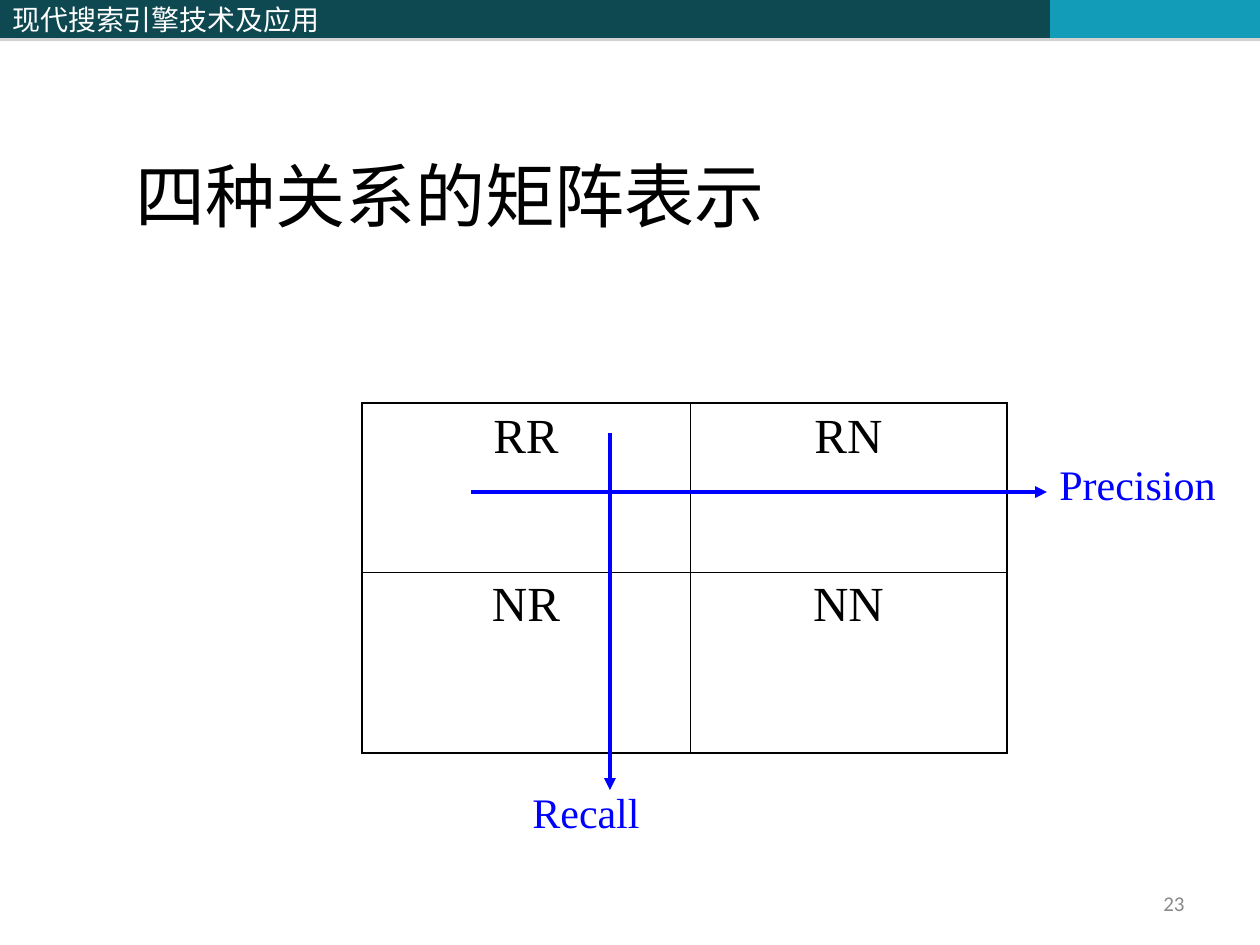
"""Builds a slide with the matrix of four retrieval relations."""
import lxml.etree
import pptx
import pptx.dml.color
import pptx.enum.shapes
import pptx.enum.text
import pptx.oxml.ns
import pptx.util

COLORS = {"dark": "0E4851", "teal": "139CB7", "shadow": "808080", "white": "FFFFFF",
          "black": "000000", "blue": "0000FF", "gray": "898989"}
SERIF = "Times New Roman"
CHINESE = "Noto Sans CJK SC"
ALIGN = pptx.enum.text.PP_ALIGN
ANCHOR = pptx.enum.text.MSO_ANCHOR

SLIDE_SIZE = (1260, 945)
BAR_HEIGHT = 38
BARS = [("现代搜索引擎技术及应用", 514, "dark"), ("", 536, "dark"), ("", 210, "teal")]
TEXTS = [
    ("四种关系的矩阵表示", (123, 86, 949, 157), dict(size=40, anchor=ANCHOR.BOTTOM)),
    ("23", (935, 872, 262, 63), dict(size=12, font="Calibri", color="gray",
                                     align=ALIGN.RIGHT, anchor=ANCHOR.MIDDLE)),
    ("Recall", (520, 780, 208, 63), dict(size=24, color="blue")),
    ("Precision", (1047, 452, 213, 63), dict(size=24, color="blue")),
]
MATRIX = [["RR", "RN"], ["NR", "NN"]]
MATRIX_ORIGIN = (362, 403)
COLUMN_WIDTHS = [328, 317]
ROW_HEIGHTS = [169, 181]
OUTER_WIDTH, INNER_WIDTH = 1.08, 0.45
ARROWS = [(610, 433, 610, 790), (471, 492, 1047, 492)]


def px(*lengths):
    return [pptx.util.Emu(round(length * 914400 / 126)) for length in lengths]


def rgb(name):
    return pptx.dml.color.RGBColor.from_string(COLORS[name])


def add_element(parent, tag, **attributes):
    element = lxml.etree.SubElement(parent, pptx.oxml.ns.qn(tag))
    for name, value in attributes.items():
        element.set(name, str(value))
    return element


def write_text(frame, text, *, size, font=SERIF, color="black", align=ALIGN.LEFT,
               anchor=ANCHOR.TOP):
    frame.word_wrap = True
    frame.vertical_anchor = anchor
    paragraph = frame.paragraphs[0]
    paragraph.alignment = align
    run = paragraph.add_run()
    run.text = text
    run.font.size = pptx.util.Pt(size)
    run.font.name = font
    run.font.color.rgb = rgb(color)
    add_element(run.font._element, "a:ea", typeface=CHINESE)


def add_bars(slide):
    left = 0
    for text, width, color in BARS:
        bar = slide.shapes.add_shape(pptx.enum.shapes.MSO_SHAPE.RECTANGLE,
                                     *px(left, 0, width, BAR_HEIGHT))
        bar.fill.solid()
        bar.fill.fore_color.rgb = rgb(color)
        bar.line.fill.background()
        bar.shadow.inherit = False
        effects = bar._element.spPr.find(pptx.oxml.ns.qn("a:effectLst"))
        shadow = add_element(effects, "a:outerShdw", blurRad=0, dist=pptx.util.Pt(1.8),
                             dir=5400000, rotWithShape=0)
        shade = add_element(shadow, "a:srgbClr", val=COLORS["shadow"])
        add_element(shade, "a:alpha", val=35000)
        if text:
            write_text(bar.text_frame, text, size=16, font=CHINESE, color="white",
                       anchor=ANCHOR.MIDDLE)
        left += width


def add_matrix(slide):
    rows, columns = len(ROW_HEIGHTS), len(COLUMN_WIDTHS)
    frame = slide.shapes.add_table(
        rows, columns, *px(*MATRIX_ORIGIN, sum(COLUMN_WIDTHS), sum(ROW_HEIGHTS)))
    table = frame.table
    table.first_row = table.horz_banding = False
    for column, width in zip(table.columns, px(*COLUMN_WIDTHS)):
        column.width = width
    for row, height in zip(table.rows, px(*ROW_HEIGHTS)):
        row.height = height
    for i, labels in enumerate(MATRIX):
        for j, label in enumerate(labels):
            cell = table.cell(i, j)
            write_text(cell.text_frame, label, size=28, align=ALIGN.CENTER)
            properties = cell._tc.get_or_add_tcPr()
            outer_sides = {"L": j == 0, "R": j == columns - 1,
                           "T": i == 0, "B": i == rows - 1}
            for side, outer in outer_sides.items():
                width = pptx.util.Pt(OUTER_WIDTH if outer else INNER_WIDTH)
                border = add_element(properties, f"a:ln{side}", w=width)
                add_element(add_element(border, "a:solidFill"), "a:srgbClr",
                            val=COLORS["black"])
            cell.fill.background()


def add_arrow(slide, ends):
    arrow = slide.shapes.add_connector(pptx.enum.shapes.MSO_CONNECTOR.STRAIGHT, *px(*ends))
    arrow.line.color.rgb = rgb("blue")
    arrow.line.width = pptx.util.Pt(2.25)
    add_element(arrow.line._get_or_add_ln(), "a:tailEnd", type="triangle")
    add_element(arrow._element.spPr, "a:effectLst")


def main():
    presentation = pptx.Presentation()
    presentation.slide_width, presentation.slide_height = px(*SLIDE_SIZE)
    slide = presentation.slides.add_slide(presentation.slide_layouts[6])
    add_bars(slide)
    add_matrix(slide)
    for ends in ARROWS:
        add_arrow(slide, ends)
    for text, box, style in TEXTS:
        write_text(slide.shapes.add_textbox(*px(*box)).text_frame, text, **style)
    presentation.save("out.pptx")


if __name__ == "__main__":
    main()
